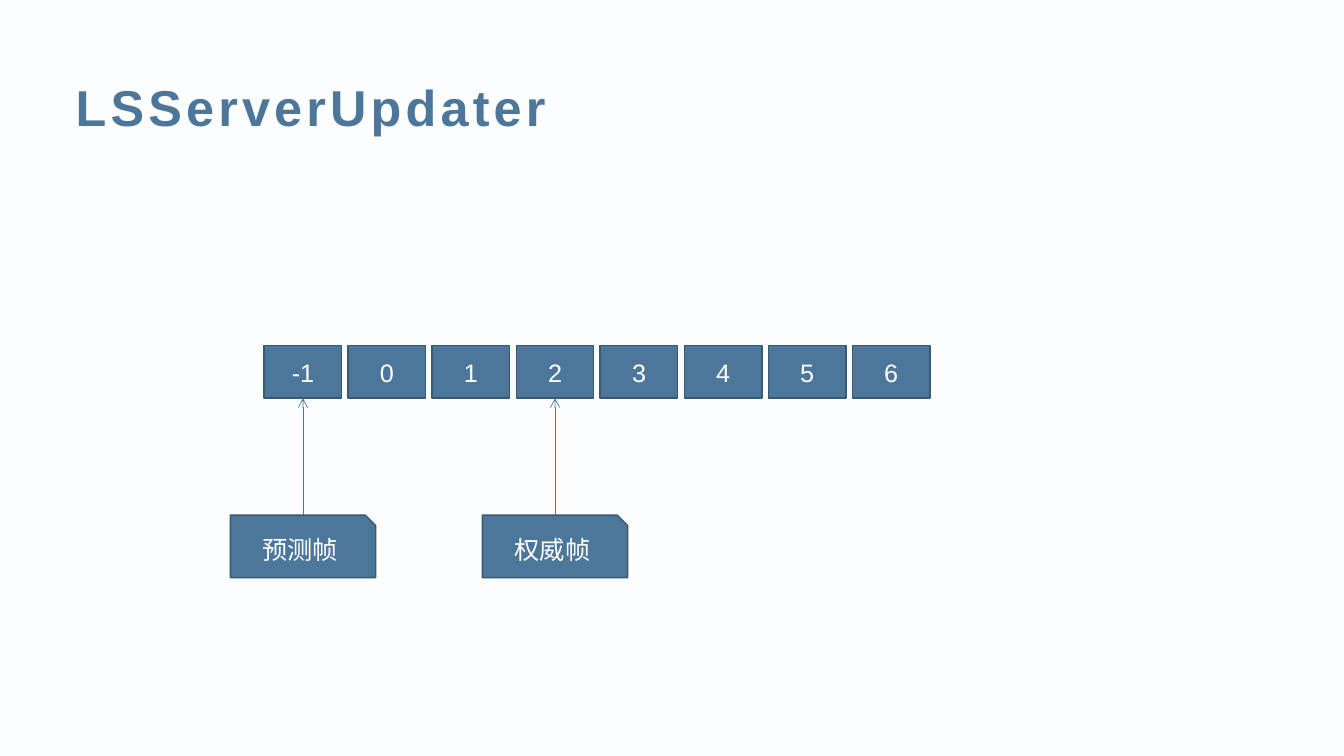
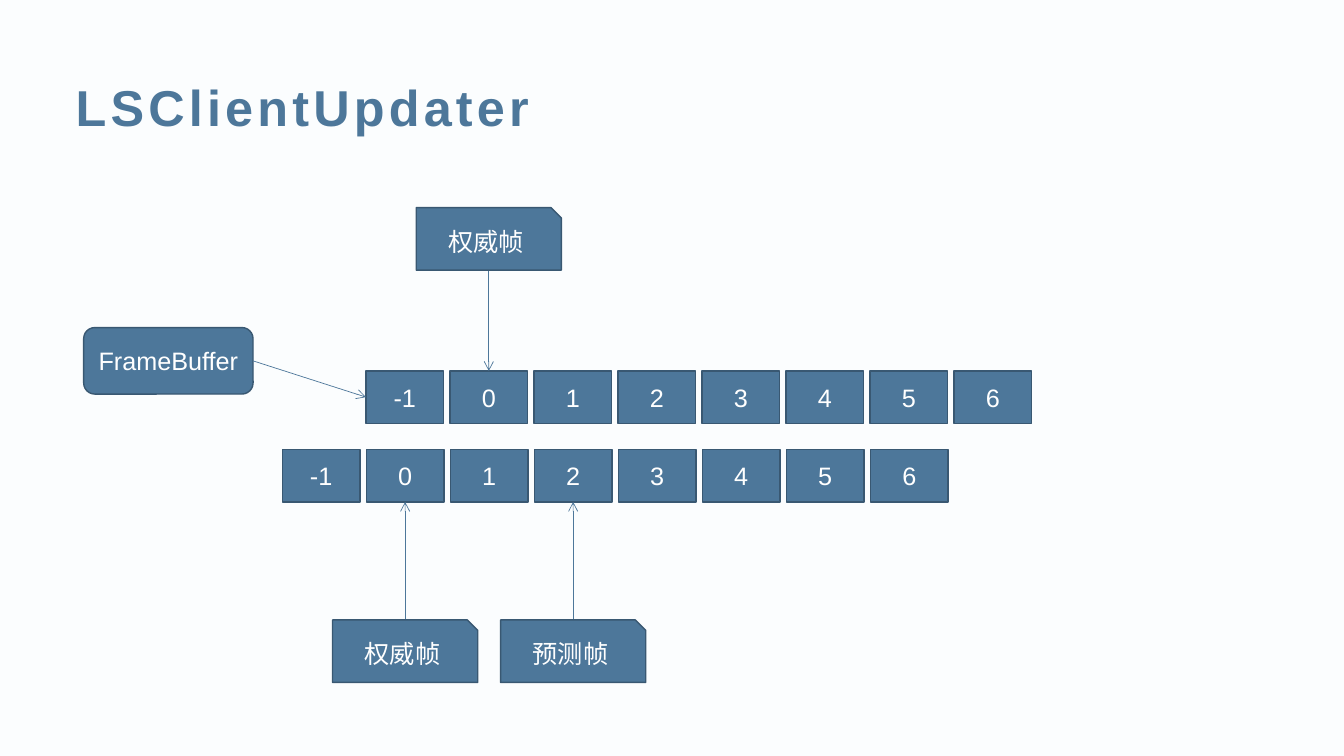
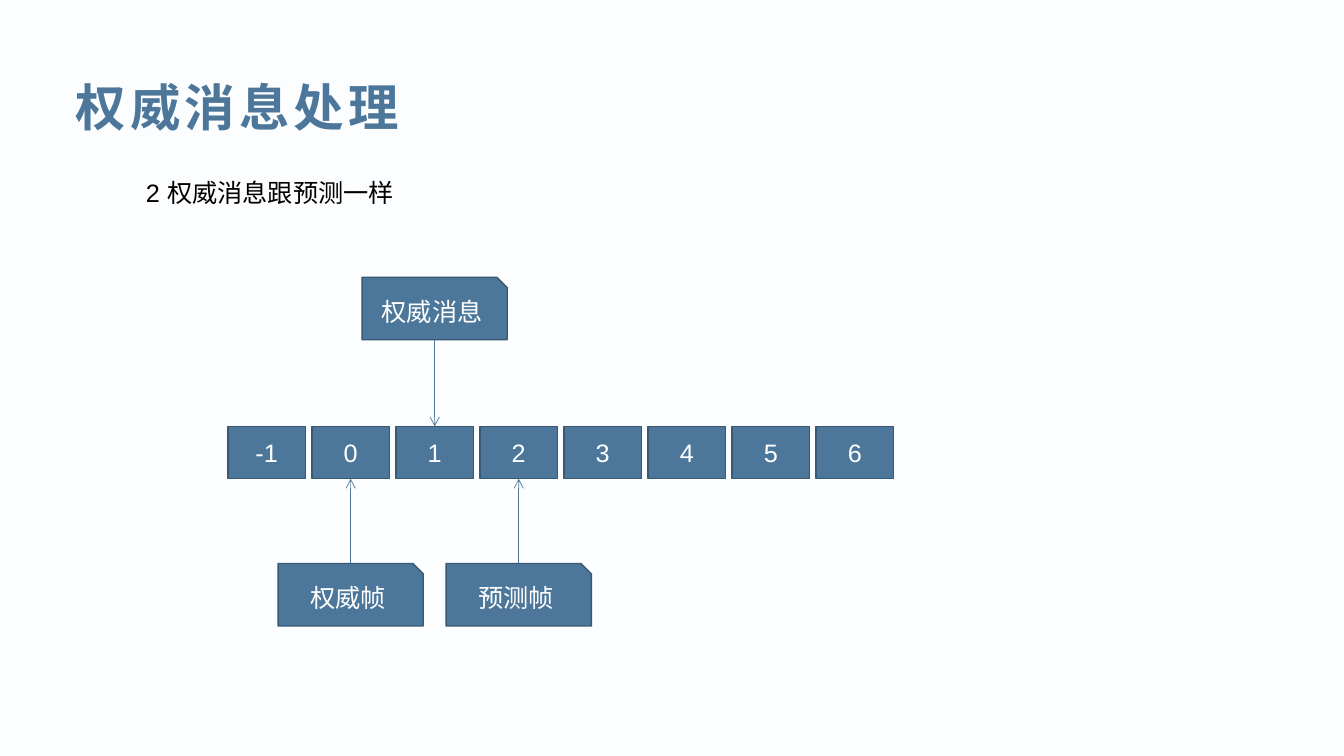
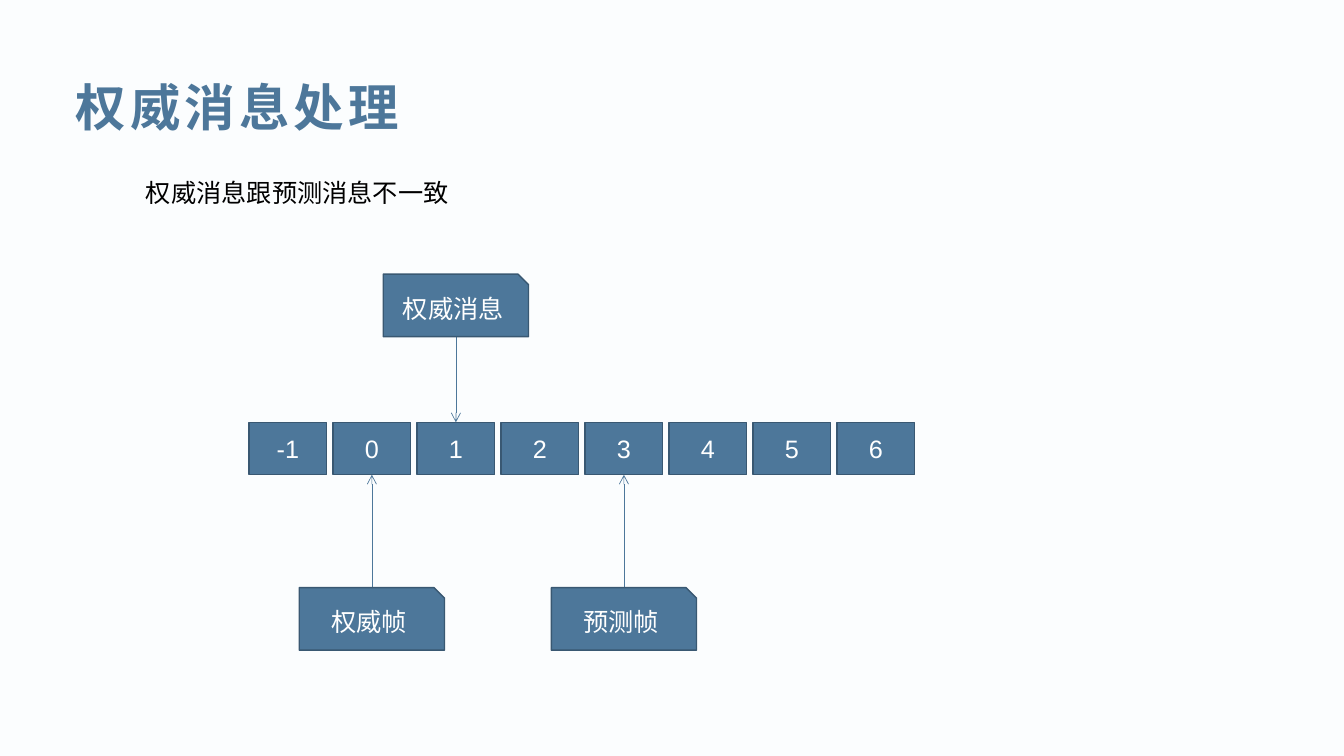
from dataclasses import dataclass

from lxml.etree import SubElement
from pptx import Presentation
from pptx.dml.color import RGBColor
from pptx.enum.shapes import MSO_CONNECTOR as Link, MSO_SHAPE as Kind
from pptx.enum.text import MSO_ANCHOR as Anchor, PP_ALIGN as Align
from pptx.oxml.ns import qn
from pptx.util import Inches, Pt


@dataclass(frozen=True)
class Theme:
    back: str = "FBFDFE"
    main: str = "4D779A"
    edge: str = "395872"
    light: str = "FFFFFF"
    dark: str = "000000"
    font: str = "Arial"
    head: int = 36
    body: int = 18
    track: int = 3


T = Theme()

# Shared measures, in inches
TITLE = (0.65, 0.67, 12.28, 0.77)
NOTE = (1.35, 1.71, 10.13, 5.31)
CELL_W, CELL_H = 0.77, 0.52
STEP = 2.5 / 3
CARD_W, CARD_H = 1.44, 0.62

# Content: each row has its left and top, and cards as (label, frame, top)
FRAMES = ["-1", "0", "1", "2", "3", "4", "5", "6"]
SLIDES = [
    {"title": "LSServerUpdater",
     "rows": [{"at": (2.62, 3.43),
               "cards": [("预测帧", "-1", 5.11), ("权威帧", "2", 5.11)]}]},
    {"title": "LSClientUpdater",
     "rows": [{"at": (2.8, 4.46),
               "cards": [("预测帧", "2", 6.15), ("权威帧", "0", 6.15)]},
              {"at": (3.63, 3.68),
               "cards": [("权威帧", "0", 2.06)],
               "tag": ("FrameBuffer", (0.83, 3.25, 1.68, 0.66))}]},
    {"title": "权威消息处理",
     "note": "2 权威消息跟预测一样",
     "rows": [{"at": (2.26, 4.23),
               "cards": [("预测帧", "2", 5.59), ("权威帧", "0", 5.59),
                         ("权威消息", "1", 2.75)]}]},
    {"title": "权威消息处理",
     "note": "权威消息跟预测消息不一致",
     "rows": [{"at": (2.47, 4.19),
               "cards": [("预测帧", "3", 5.83), ("权威帧", "0", 5.83),
                         ("权威消息", "1", 2.72)]}]},
]


def rgb(code):
    return RGBColor.from_string(code)


def write(shape, text, size=T.body, color=T.light, bold=False,
          align=Align.CENTER, anchor=Anchor.MIDDLE, track=0):
    frame = shape.text_frame
    frame.word_wrap = True
    frame.vertical_anchor = anchor
    para = frame.paragraphs[0]
    para.alignment = align
    run = para.add_run()
    run.text = text
    font = run.font
    font.name, font.size, font.bold = T.font, Pt(size), bold
    font.color.rgb = rgb(color)
    if track:
        font._element.set("spc", str(track * 100))


def box(shapes, kind, place, text):
    shape = shapes.add_shape(kind, *map(Inches, place))
    shape.shadow.inherit = False
    shape.fill.solid()
    shape.fill.fore_color.rgb = rgb(T.main)
    shape.line.color.rgb = rgb(T.edge)
    shape.line.width = Pt(1)
    write(shape, text)


def arrow(shapes, start, end):
    link = shapes.add_connector(Link.STRAIGHT, *map(Inches, start + end))
    link.line.color.rgb = rgb(T.main)
    link.line.width = Pt(0.5)
    SubElement(link.line._get_or_add_ln(), qn("a:tailEnd"), type="arrow")
    SubElement(link._element.spPr, qn("a:effectLst"))


def add_row(shapes, row):
    left, top = row["at"]

    # Frame cells
    cells = shapes.add_group_shape().shapes
    for i, name in enumerate(FRAMES):
        box(cells, Kind.RECTANGLE, (left + i * STEP, top, CELL_W, CELL_H), name)

    # Cards centred on the frame they point at, above or below the row
    for label, name, y in row["cards"]:
        mid = left + FRAMES.index(name) * STEP + CELL_W / 2
        if y > top:
            ends = (mid, y), (mid, top + CELL_H)
        else:
            ends = (mid, y + CARD_H), (mid, top)
        arrow(shapes, *ends)
        box(shapes, Kind.SNIP_1_RECTANGLE,
            (mid - CARD_W / 2, y, CARD_W, CARD_H), label)

    # Tag naming the whole row
    if "tag" in row:
        label, place = row["tag"]
        x, y, w, h = place
        box(shapes, Kind.ROUNDED_RECTANGLE, place, label)
        arrow(shapes, (x + w, y + h / 2), (left, top + CELL_H / 2))


def add_slide(deck, page):
    slide = deck.slides.add_slide(deck.slide_layouts[5])
    shapes = slide.shapes
    title = shapes.title
    title.left, title.top, title.width, title.height = map(Inches, TITLE)
    write(title, page["title"], size=T.head, color=T.main, bold=True,
          align=Align.LEFT, track=T.track)
    if "note" in page:
        note = shapes.add_textbox(*map(Inches, NOTE))
        write(note, page["note"], color=T.dark, align=Align.LEFT,
              anchor=Anchor.TOP)
    for row in page["rows"]:
        add_row(shapes, row)


def main():
    deck = Presentation()
    deck.slide_width, deck.slide_height = Inches(13.33), Inches(7.5)
    fill = deck.slide_master.background.fill
    fill.solid()
    fill.fore_color.rgb = rgb(T.back)
    for page in SLIDES:
        add_slide(deck, page)
    deck.save("out.pptx")


if __name__ == "__main__":
    main()
